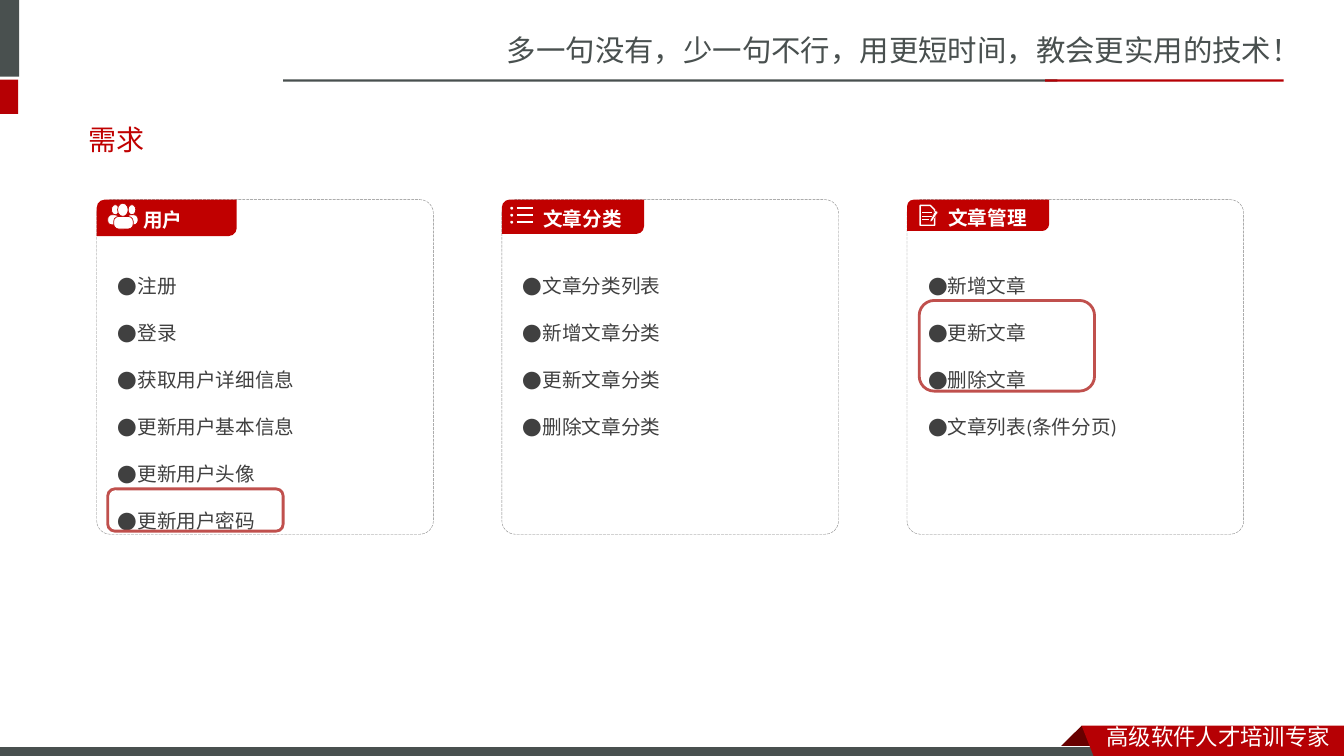
from lxml.etree import SubElement
from pptx import Presentation
from pptx.dml.color import RGBColor
from pptx.enum.dml import MSO_LINE as Dash
from pptx.enum.shapes import MSO_CONNECTOR as Connector, MSO_SHAPE as Kind
from pptx.enum.text import MSO_ANCHOR as Anchor, PP_ALIGN as Align
from pptx.oxml.ns import qn
from pptx.util import Pt

SLATE = RGBColor(0x49, 0x50, 0x4F)
RED = RGBColor(0xB6, 0x00, 0x04)
CRIMSON = RGBColor(0xC0, 0x00, 0x00)
MAROON = RGBColor(0x68, 0x00, 0x00)
BRICK = RGBColor(0xC0, 0x50, 0x4D)
GRAY = RGBColor(0x80, 0x80, 0x80)
CHARCOAL = RGBColor(0x40, 0x40, 0x40)
WHITE = RGBColor(0xFF, 0xFF, 0xFF)

SANS = "Noto Sans CJK SC"
CARD_LEFT, CARD_TOP, CARD_SIZE, CARD_PITCH = 69.1, 142.6, (240.5, 239), 289.4

CARDS = [
    ("用户", (100, 26), 31.6, "draw_people",
     ["注册", "登录", "获取用户详细信息", "更新用户基本信息", "更新用户头像", "更新用户密码"]),
    ("文章分类", (101.5, 24.5), 28, "draw_list",
     ["文章分类列表", "新增文章分类", "更新文章分类", "删除文章分类"]),
    ("文章管理", (101.5, 22.4), 28, "draw_document",
     ["新增文章", "更新文章", "删除文章", "文章列表(条件分页)"]),
]


def write_text(frame, lines, size=14, color=CHARCOAL, font=SANS, bold=False,
               bullet=None, spacing=None, anchor=Anchor.MIDDLE):
    frame.word_wrap = True
    frame.vertical_anchor = anchor
    for index, line in enumerate(lines):
        paragraph = frame.paragraphs[0] if index == 0 else frame.add_paragraph()
        paragraph.alignment = Align.LEFT
        if spacing:
            paragraph.line_spacing = Pt(spacing)
        if bullet:
            properties = paragraph._p.get_or_add_pPr()
            properties.set("marL", str(Pt(11.5)))
            properties.set("indent", str(Pt(-22.3)))
            SubElement(properties, qn("a:buFont")).set("typeface", SANS)
            SubElement(properties, qn("a:buChar")).set("char", bullet)
        run = paragraph.add_run()
        run.text = line
        run.font.name, run.font.size, run.font.bold = font, Pt(size), bold
        run.font.color.rgb = color
        SubElement(run._r.get_or_add_rPr(), qn("a:ea")).set("typeface", SANS)


class SlideBuilder:
    def __init__(self, slide):
        self.slide = slide
        self.shapes = slide.shapes

    def paint(self, shape, fill=None, line=None, width=1):
        shape.shadow.inherit = False
        if fill is None:
            shape.fill.background()
        else:
            shape.fill.solid()
            shape.fill.fore_color.rgb = fill
        if line is None:
            shape.line.fill.background()
        else:
            shape.line.color.rgb = line
            shape.line.width = Pt(width)
        return shape

    def add_shape(self, kind, left, top, width, height, adjust=(), **style):
        shape = self.shapes.add_shape(kind, Pt(left), Pt(top), Pt(width), Pt(height))
        for index, value in enumerate(adjust):
            shape.adjustments[index] = value
        return self.paint(shape, **{"width": style.pop("weight", 1), **style})

    def add_polygon(self, points, **style):
        corners = [(Pt(x), Pt(y)) for x, y in points]
        builder = self.shapes.build_freeform(*corners[0], scale=1.0)
        builder.add_line_segments(corners[1:], close=True)
        return self.paint(builder.convert_to_shape(), **style)

    def add_line(self, left, top, length, color, weight):
        line = self.shapes.add_connector(
            Connector.STRAIGHT, Pt(left), Pt(top), Pt(left + length), Pt(top))
        line.line.color.rgb = color
        line.line.width = Pt(weight)
        SubElement(line._element.spPr, qn("a:effectLst"))

    def add_text(self, left, top, width, height, lines, **style):
        box = self.shapes.add_textbox(Pt(left), Pt(top), Pt(width), Pt(height))
        write_text(box.text_frame, lines, **style)

    def draw_people(self):
        outline = {"fill": WHITE, "line": CRIMSON, "weight": 0.5}
        for head, body in ((79.6, 77), (91.5, 90.6)):
            self.add_shape(Kind.ROUNDED_RECTANGLE, body, 153.4, 8, 7.2, (0.4,), **outline)
            self.add_shape(Kind.OVAL, head, 146.2, 5.5, 7.2, **outline)
        self.add_shape(Kind.ROUNDED_RECTANGLE, 81.2, 154.6, 14, 9, (0.4,), **outline)
        self.add_shape(Kind.OVAL, 84, 145.2, 7.6, 9.4, **outline)

    def draw_list(self):
        for row in range(3):
            middle = 148.7 + 5 * row
            self.add_shape(Kind.OVAL, 364.5, middle - 1, 2, 2, fill=WHITE)
            self.add_line(369, middle, 11.8, WHITE, 1.2)

    def draw_document(self):
        self.add_shape(Kind.SNIP_1_RECTANGLE, 657.2, 146.7, 10.4, 14.2, (0.3,), line=WHITE)
        for top, length in ((151.6, 7), (154.4, 6.5), (156.6, 4.5)):
            self.add_line(658.9, top, length, WHITE, 0.75)
        self.add_polygon([(668.2, 150.2), (670, 151.6), (666, 157.7), (664.6, 158.4),
                          (664.6, 157)], fill=WHITE, line=CRIMSON, width=0.25)

    def add_card(self, left, title, tab_size, indent, icon, items):
        self.add_text(left + 8, 175.5, 163, 33.6 * len(items) + 7.2, items, font="Calibri",
                      bullet="●", spacing=33.6, anchor=Anchor.TOP)
        frame = self.add_shape(Kind.ROUNDED_RECTANGLE, left, CARD_TOP, *CARD_SIZE, (0.04,),
                               line=GRAY, weight=0.25)
        frame.line.dash_style = Dash.LONG_DASH
        tab = self.add_shape(Kind.ROUND_2_DIAG_RECTANGLE, left, CARD_TOP, *tab_size,
                             (0.22, 0), fill=CRIMSON)
        text = tab.text_frame
        text.margin_left, text.margin_top = Pt(indent), Pt(3)
        text.margin_right = text.margin_bottom = 0
        write_text(text, [title], color=WHITE, bold=True)
        getattr(self, icon)()

    def add_header(self):
        self.add_text(355, 18.8, 605, 33.8, ["多一句没有，少一句不行，用更短时间，教会更实用的技术！"],
                      size=21, color=SLATE)
        for left, top, width, height, color in (
                (-4.3, 0, 18, 54.7, SLATE), (-4.3, 56.9, 17.3, 24.5, RED),
                (202.3, 56.7, 553, 1.6, SLATE), (746.6, 56.7, 170.4, 1.6, RED)):
            self.add_shape(Kind.RECTANGLE, left, top, width, height, fill=color)

    def add_footer(self):
        self.add_polygon([(772.6, 518.4), (788.4, 534.2), (787.5, 535), (757.5, 535),
                          (756.7, 534.2)], fill=MAROON)
        self.add_shape(Kind.RECTANGLE, -0.7, 533.5, 792, 8.6, fill=SLATE, line=WHITE,
                       weight=0.75)
        self.add_polygon([(772.6, 518.4), (960, 518.4), (960, 542.9), (782, 542.2)], fill=RED)
        self.add_text(783.4, 513, 176.6, 26.6, ["高级软件人才培训专家"], size=16, color=WHITE)


def main():
    presentation = Presentation()
    presentation.slide_width, presentation.slide_height = Pt(960), Pt(540)
    builder = SlideBuilder(presentation.slides.add_slide(presentation.slide_layouts[6]))
    builder.add_header()
    builder.add_footer()
    builder.add_text(56.2, 79.2, 842.4, 41, ["需求"], size=20, color=CRIMSON, font="Arial")
    for index, card in enumerate(CARDS):
        builder.add_card(CARD_LEFT + CARD_PITCH * index, *card)
    for left, top, height in ((77, 349.2, 30.2), (656.6, 214.6, 64.8)):
        builder.add_shape(Kind.ROUNDED_RECTANGLE, left, top, 125.3, height,
                          line=BRICK, weight=2)
    presentation.save("out.pptx")


if __name__ == "__main__":
    main()
